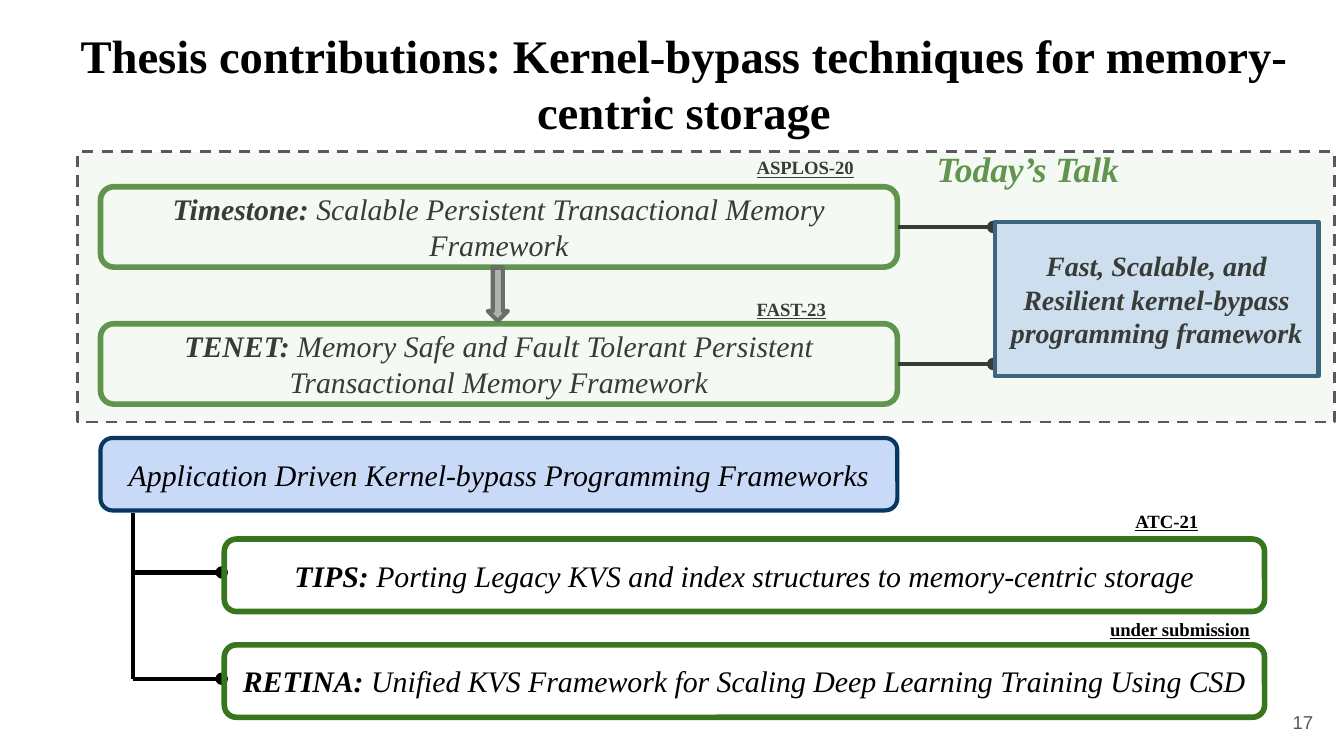
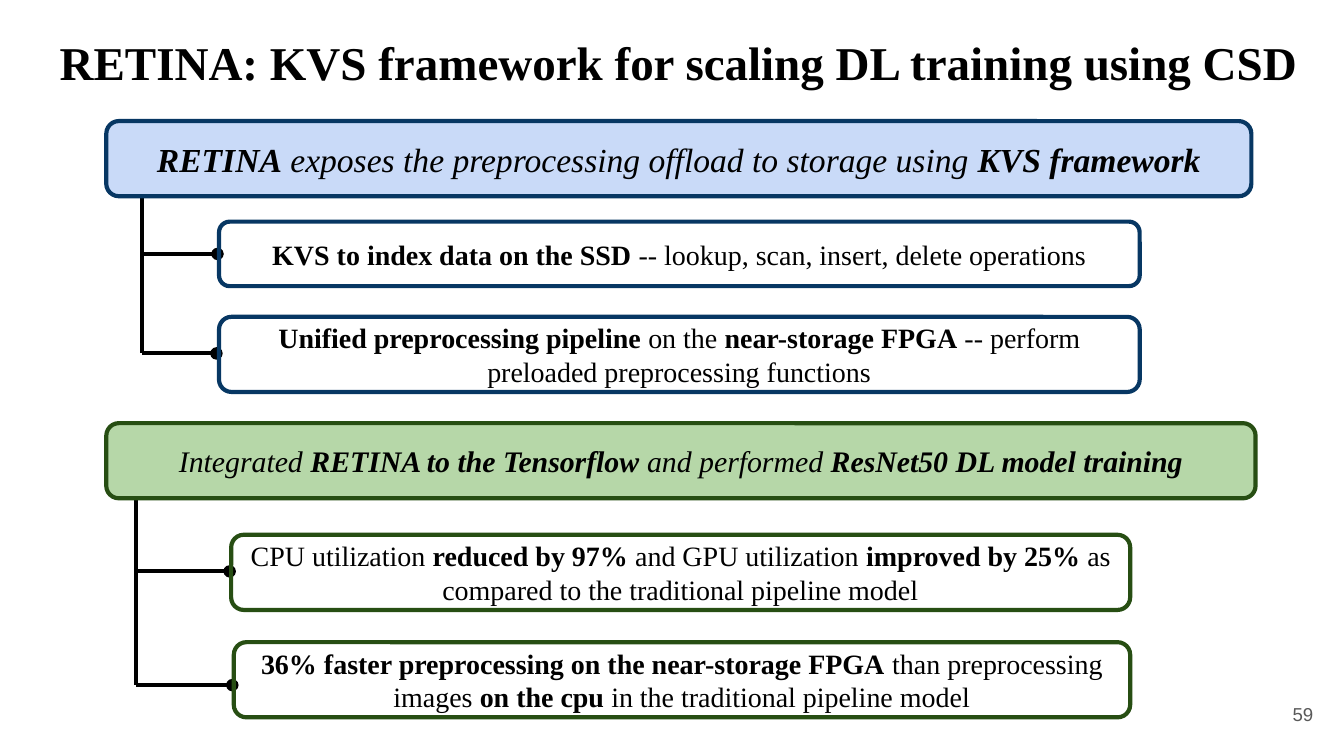
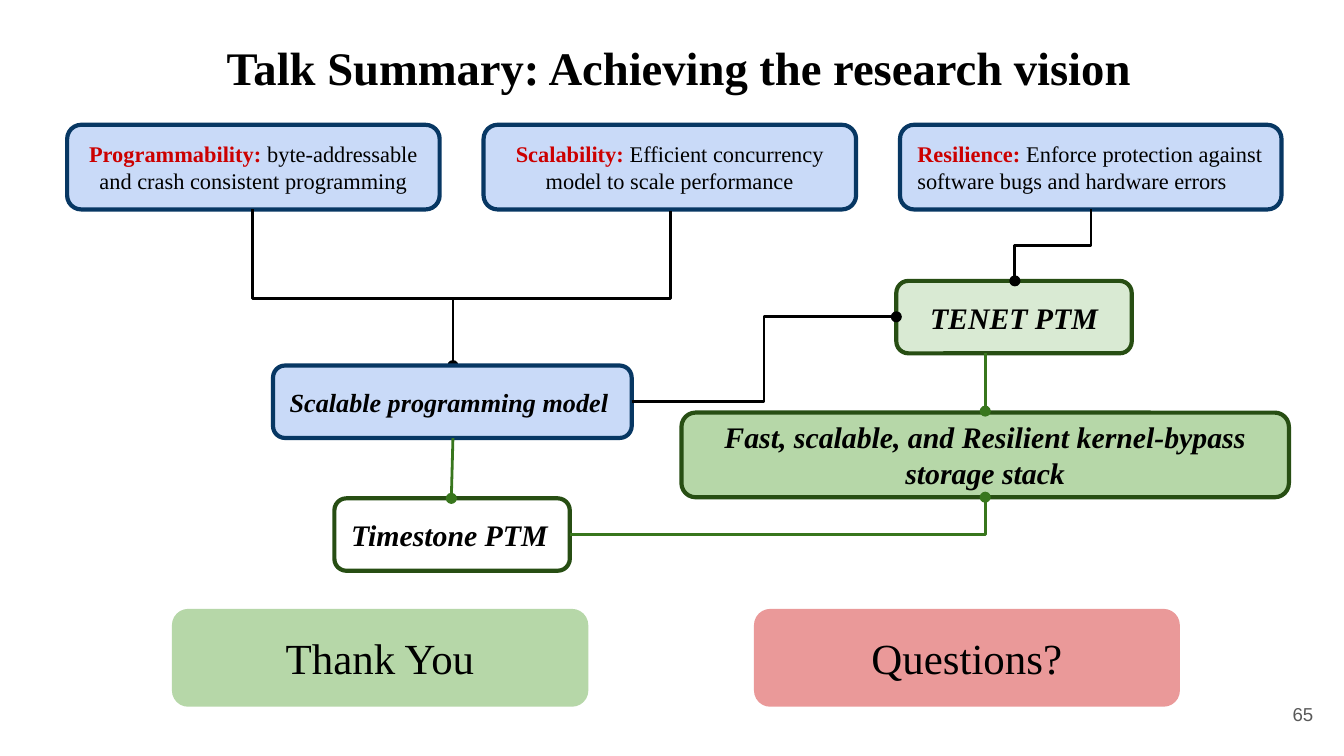
from dataclasses import dataclass
from typing import Any, NamedTuple, Optional

import pptx
import pptx.dml.color
import pptx.enum.dml
import pptx.enum.shapes
import pptx.enum.text
import pptx.oxml.ns
import pptx.oxml.xmlchemy
import pptx.util

Cm = pptx.util.Cm
Pt = pptx.util.Pt
SHAPE = pptx.enum.shapes.MSO_SHAPE
ANCHOR = pptx.enum.text.MSO_ANCHOR
ALIGN = pptx.enum.text.PP_ALIGN
AUTO_SIZE = pptx.enum.text.MSO_AUTO_SIZE

SERIF = "Times New Roman"
SANS = "Arial"
BLACK = "000000"
RED = "CC0000"
GREEN = "38761D"
DARK_GREEN = "274E13"
MID_GREEN = "B6D7A8"
PALE_GREEN = "D9EAD3"
NAVY = "073763"
PALE_BLUE = "C9DAF8"
PINK = "EA9999"
GREY = "595959"
DARK_GREY = "434343"

Point = tuple[float, float]


class Style(NamedTuple):
    fill: Optional[str] = None
    line: Optional[str] = None
    weight: float = 2.25
    shape: Any = SHAPE.ROUNDED_RECTANGLE
    opacity: Optional[int] = None


BLUE_BOX = Style(PALE_BLUE, NAVY)
BLUE_OUTLINE = Style(None, NAVY)
GREEN_BOX = Style(MID_GREEN, DARK_GREEN)
PALE_GREEN_BOX = Style(PALE_GREEN, DARK_GREEN)
GREEN_OUTLINE = Style(None, DARK_GREEN)
PAPER_BOX = Style(None, GREEN, 3)
GOAL_BOX = BLUE_BOX._replace(shape=SHAPE.RECTANGLE)
STEP_ARROW = Style(BLACK, DARK_GREY, 2.25, SHAPE.DOWN_ARROW, 37)
TALK_ZONE = Style(PALE_GREEN, GREY, 1.5, SHAPE.RECTANGLE, 26)


@dataclass
class Box:
    """A shape in centimetres; asterisks in its text switch bold on and off."""
    text: str
    left: float
    top: float
    width: float
    height: float
    style: Style
    size: float = 16
    italic: bool = False
    bold_color: str = BLACK
    align: Any = ALIGN.CENTER


@dataclass
class Label:
    text: str
    left: float
    top: float
    width: float = 3.33
    height: float = 0.94
    size: float = 10
    color: str = BLACK
    italic: bool = False
    underline: bool = True


@dataclass
class Link:
    start: Point
    end: Point
    color: str = BLACK
    weight: float = 1.5
    dot: bool = True
    preset: str = "line"
    bend: Optional[float] = None
    starts_down: bool = False


def apply(target: Any, values: dict[str, Any]) -> None:
    for attribute, value in values.items():
        setattr(target, attribute, value)


def rgb(color: str) -> pptx.dml.color.RGBColor:
    return pptx.dml.color.RGBColor.from_string(color)


def new_element(tag: str, **attributes: str) -> Any:
    element = pptx.oxml.xmlchemy.OxmlElement(tag)
    for attribute, value in attributes.items():
        element.set(attribute, value)
    return element


def format_frame(frame: Any, anchor: Any, margin: float = 0.25,
                 auto_size: Any = AUTO_SIZE.NONE) -> None:
    inset = Cm(margin)
    apply(frame, dict(word_wrap=True, auto_size=auto_size, vertical_anchor=anchor,
                      margin_left=inset, margin_right=inset,
                      margin_top=inset, margin_bottom=inset))


def add_run(paragraph: Any, text: str, color: str, size: float,
            name: str = SERIF, **font: Any) -> None:
    run = paragraph.add_run()
    run.text = text
    apply(run.font, dict(name=name, size=Pt(size), **font))
    run.font.color.rgb = rgb(color)


def add_box(slide: Any, box: Box) -> Any:
    style = box.style
    shape = slide.shapes.add_shape(style.shape, Cm(box.left), Cm(box.top),
                                   Cm(box.width), Cm(box.height))
    shape.shadow.inherit = False
    if style.fill:
        shape.fill.solid()
        shape.fill.fore_color.rgb = rgb(style.fill)
    else:
        shape.fill.background()
    if style.opacity:
        color = shape._element.spPr.find(".//" + pptx.oxml.ns.qn("a:srgbClr"))
        color.append(new_element("a:alpha", val=str(style.opacity * 1000)))
    if style.line:
        shape.line.color.rgb = rgb(style.line)
        shape.line.width = Pt(style.weight)
    else:
        shape.line.fill.background()
    format_frame(shape.text_frame, ANCHOR.MIDDLE)
    paragraph = shape.text_frame.paragraphs[0]
    paragraph.alignment = box.align
    for index, part in enumerate(box.text.split("*")):
        bold = index % 2 == 1
        if part:
            add_run(paragraph, part, box.bold_color if bold else BLACK, box.size,
                    bold=bold, italic=box.italic)
    return shape


def add_label(slide: Any, label: Label) -> None:
    frame = slide.shapes.add_textbox(Cm(label.left), Cm(label.top), Cm(label.width),
                                     Cm(label.height)).text_frame
    format_frame(frame, ANCHOR.TOP, auto_size=AUTO_SIZE.SHAPE_TO_FIT_TEXT)
    add_run(frame.paragraphs[0], label.text, label.color, label.size, bold=True,
            italic=label.italic, underline=label.underline)


def turn_downwards(connector: Any, link: Link) -> None:
    """Rotate an elbow so that it leaves its start vertically."""
    (x1, y1), (x2, y2) = link.start, link.end
    across, down = abs(x2 - x1), abs(y2 - y1)
    apply(connector, dict(left=Cm((x1 + x2 - down) / 2), top=Cm((y1 + y2 - across) / 2),
                          width=Cm(down), height=Cm(across)))
    goes_right = x2 > x1
    transform = connector._element.spPr.find(pptx.oxml.ns.qn("a:xfrm"))
    apply(transform, dict(flipH=goes_right, flipV=False))
    transform.set("rot", str((270 if goes_right else 90) * 60000))


def add_link(slide: Any, link: Link) -> None:
    kind = pptx.enum.shapes.MSO_CONNECTOR.STRAIGHT
    connector = slide.shapes.add_connector(
        kind, *(Cm(value) for value in link.start + link.end))
    connector.line.color.rgb = rgb(link.color)
    connector.line.width = Pt(link.weight)
    properties = connector._element.spPr
    geometry = properties.find(pptx.oxml.ns.qn("a:prstGeom"))
    geometry.set("prst", link.preset)
    if link.bend is not None:
        guide = new_element("a:gd", name="adj1", fmla=f"val {round(link.bend * 100000)}")
        geometry.find(pptx.oxml.ns.qn("a:avLst")).append(guide)
    if link.starts_down:
        turn_downwards(connector, link)
    if link.dot:
        outline = properties.find(pptx.oxml.ns.qn("a:ln"))
        outline.append(new_element("a:tailEnd", type="oval"))
    properties.append(new_element("a:effectLst"))


def add_tree(slide: Any, trunk: float, top: float, tips: list[Point]) -> None:
    """Draw a vertical trunk with one dotted branch to each tip."""
    add_link(slide, Link((trunk, top), (trunk, tips[-1][1]), weight=2.25, dot=False))
    for x, y in tips:
        add_link(slide, Link((trunk, y), (x, y), weight=2.25))


def add_slide(deck: Any, title: str, number: int, left: float = 0.76, top: float = 0.38,
              size: float = 25, anchor: Any = ANCHOR.TOP, margin: float = 0.25,
              number_top: float = 12.95) -> Any:
    slide = deck.slides.add_slide(deck.slide_layouts[5])
    heading = slide.shapes.title
    apply(heading, dict(left=Cm(left), top=Cm(top), width=Cm(24.13), height=Cm(1.6)))
    format_frame(heading.text_frame, anchor, margin)
    paragraph = heading.text_frame.paragraphs[0]
    paragraph.alignment = ALIGN.CENTER
    add_run(paragraph, title, BLACK, size, bold=True)

    frame = slide.shapes.add_textbox(Cm(23.55), Cm(number_top), Cm(1.52),
                                     Cm(1.09)).text_frame
    format_frame(frame, ANCHOR.MIDDLE)
    frame.paragraphs[0].alignment = ALIGN.RIGHT
    add_run(frame.paragraphs[0], str(number), GREY, 10, SANS)
    return slide


def build_contributions(deck: Any) -> None:
    slide = add_slide(
        deck, "Thesis contributions: Kernel-bypass techniques for memory-centric storage",
        17, left=0.86, top=0.25, number_top=13.11)
    memory_papers = [
        ("*Timestone:* Scalable Persistent Transactional Memory Framework", 3.53),
        ("*TENET:* Memory Safe and Fault Tolerant Persistent Transactional Memory Framework",
         6.12),
    ]
    for text, top in memory_papers:
        add_box(slide, Box(text, 1.9, top, 15.06, 1.52, PAPER_BOX, italic=True))
        middle = top + 0.76
        add_link(slide, Link((16.97, middle), (18.77, middle), weight=2.25))
    add_box(slide, Box("", 9.22, 5.05, 0.38, 1.02, STEP_ARROW))
    add_box(slide, Box("*Fast, Scalable, and Resilient kernel-bypass programming framework*",
                       18.8, 4.19, 6.12, 2.92, GOAL_BOX, 15, True))

    add_box(slide, Box("Application Driven Kernel-bypass Programming Frameworks",
                       1.9, 8.28, 15.06, 1.37, BLUE_BOX, italic=True))
    add_tree(slide, 2.51, 9.7, [(4.19, 10.82), (4.19, 12.83)])
    application_papers = [
        ("*TIPS:* Porting Legacy KVS and index structures to memory-centric storage", 10.19),
        ("*RETINA:* Unified KVS Framework for Scaling Deep Learning Training Using CSD", 12.19),
    ]
    for text, top in application_papers:
        add_box(slide, Box(text, 4.24, top, 19.66, 1.37, PAPER_BOX, italic=True))

    for label in (
        Label("ASPLOS-20", 14.05, 2.74),
        Label("FAST-23", 14.05, 5.41),
        Label("ATC-21", 21.21, 9.42),
        Label("under submission", 20.73, 11.46, 3.68),
        Label("Today’s Talk", 17.45, 2.54, 5.23, 1.32, 19, GREEN, True, False),
    ):
        add_label(slide, label)
    zone = add_box(slide, Box("", 1.47, 2.87, 23.75, 5.11, TALK_ZONE))
    zone.line.dash_style = pptx.enum.dml.MSO_LINE.DASH


def build_retina(deck: Any) -> None:
    slide = add_slide(deck, "RETINA: KVS framework for scaling DL training using CSD",
                      59, size=25.2)
    add_tree(slide, 2.69, 3.71, [(4.11, 4.8), (4.09, 6.68)])
    add_tree(slide, 2.57, 9.42, [(4.34, 10.8), (4.39, 12.95)])
    for box in (
        Box("*RETINA* exposes the preprocessing offload to storage using* KVS framework*",
            2.01, 2.29, 21.64, 1.42, BLUE_BOX, 18, True),
        Box("*KVS to index data on the SSD* -- lookup, scan, insert, delete operations",
            4.14, 4.19, 17.4, 1.22, BLUE_OUTLINE, 15),
        Box("*Unified preprocessing pipeline* on the *near-storage FPGA* -- perform "
            "preloaded preprocessing functions", 4.14, 5.99, 17.4, 1.42, BLUE_OUTLINE, 15),
        Box("Integrated *RETINA to the Tensorflow* and performed *ResNet50 DL model training*",
            2.01, 8, 21.72, 1.42, GREEN_BOX, 16, True),
        Box("CPU utilization *reduced by 97%* and GPU utilization* improved by 25%* as "
            "compared to the traditional pipeline model",
            4.37, 10.11, 16.99, 1.42, GREEN_OUTLINE, 15),
        Box("*36% faster preprocessing on the near-storage FPGA* than preprocessing images"
            "* on the cpu *in the traditional pipeline model",
            4.42, 12.14, 16.94, 1.42, GREEN_OUTLINE, 15),
    ):
        add_box(slide, box)


def build_summary(deck: Any) -> None:
    slide = add_slide(deck, "Talk Summary: Achieving the research vision", 65,
                      anchor=ANCHOR.BOTTOM, margin=0.18)
    goals = [
        ("*Programmability: *byte-addressable and crash consistent programming",
         7.04, ALIGN.CENTER),
        ("*Scalability: *Efficient concurrency model to scale performance",
         7.04, ALIGN.CENTER),
        ("*Resilience: *Enforce protection against software bugs and hardware errors",
         7.21, ALIGN.LEFT),
    ]
    for column, (text, width, align) in enumerate(goals):
        add_box(slide, Box(text, 1.27 + 7.87 * column, 2.36, width, 1.6, BLUE_BOX, 12,
                           bold_color=RED, align=align))

    add_link(slide, Link((4.78, 3.96), (12.67, 3.99), dot=False,
                         preset="bentConnector3", bend=56, starts_down=True))
    add_link(slide, Link((8.56, 5.66), (8.56, 6.91)))
    for box in (
        Box("*Scalable programming model*", 5.16, 6.91, 6.78, 1.37, BLUE_BOX, 14, True,
            align=ALIGN.LEFT),
        Box("*TENET PTM*", 16.94, 5.31, 4.45, 1.37, PALE_GREEN_BOX, italic=True),
        Box("*Timestone PTM*", 6.32, 9.42, 4.45, 1.37, GREEN_OUTLINE, italic=True,
            align=ALIGN.LEFT),
        Box("*Fast, scalable, and Resilient kernel-bypass storage stack*",
            12.88, 7.8, 11.48, 1.6, GREEN_BOX, italic=True),
        Box("Thank You", 3.25, 11.51, 7.87, 1.85, Style(MID_GREEN), 23),
        Box("Questions?", 14.25, 11.51, 8.05, 1.85, Style(PINK), 23),
    ):
        add_box(slide, box)
    for link in (
        Link((20.62, 3.96), (19.18, 5.31), preset="bentConnector3", bend=0.5,
             starts_down=True),
        Link((11.94, 7.59), (16.94, 5.99), preset="bentConnector3", bend=0.5),
        Link((8.56, 8.28), (8.53, 9.42), GREEN),
        Link((18.62, 6.68), (18.62, 7.77), GREEN),
        Link((10.77, 10.11), (18.62, 9.4), GREEN, preset="bentConnector2"),
    ):
        add_link(slide, link)


def main() -> None:
    deck = pptx.Presentation()
    apply(deck, dict(slide_width=Cm(25.4), slide_height=Cm(14.29)))
    build_contributions(deck)
    build_retina(deck)
    build_summary(deck)
    deck.save("out.pptx")


if __name__ == "__main__":
    main()
